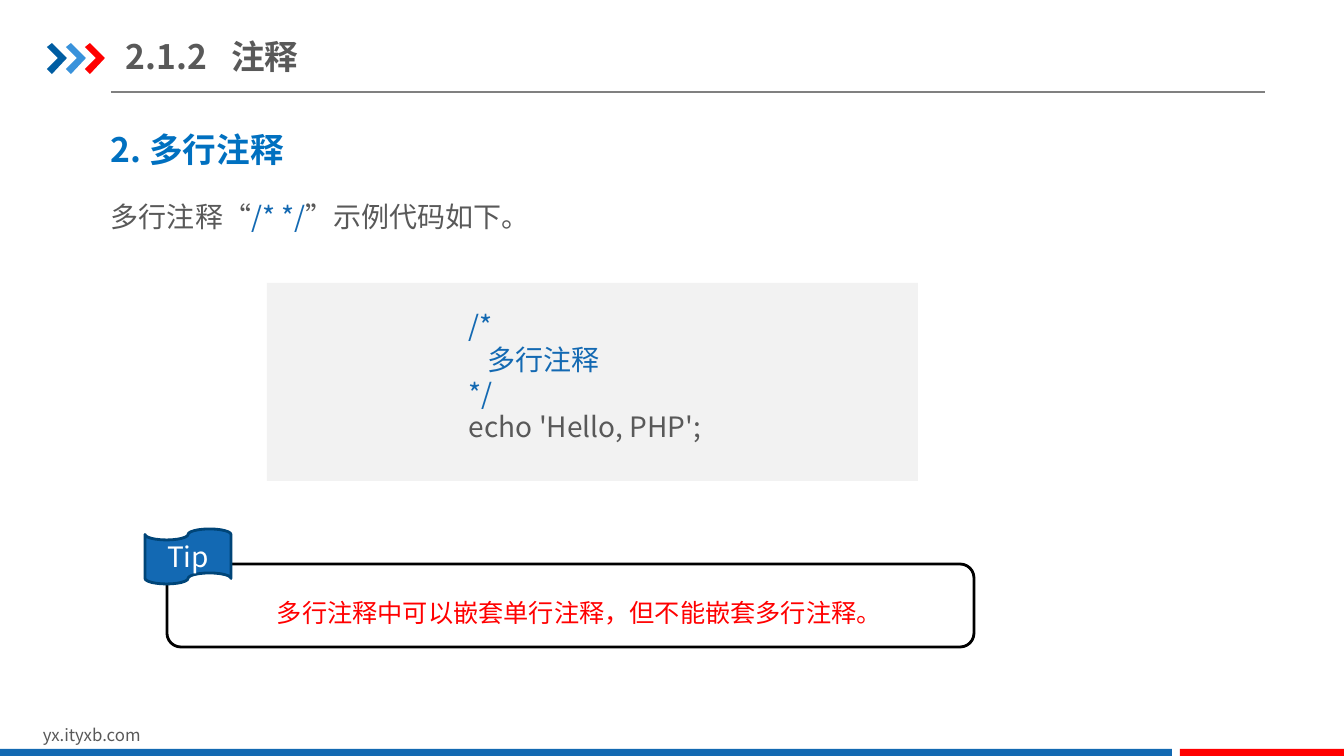
from lxml.etree import SubElement
from pptx import Presentation
from pptx.dml.color import RGBColor
from pptx.enum.shapes import MSO_CONNECTOR, MSO_SHAPE
from pptx.enum.text import MSO_ANCHOR, MSO_AUTO_SIZE, PP_ALIGN
from pptx.oxml.ns import qn
from pptx.util import Emu, Pt

PX = 914400 / 100.8
FONT = "Noto Sans CJK SC"
GREY, BLUE, RED, HEADING = "595959", "1369B2", "FF0000", "0070C0"

# Each paragraph is a list of (text, colour) runs.
TITLE = [("2.1.2\t注释", GREY)]
HEADING_TEXT = [[("2. 多行注释", HEADING)]]
INTRO = [[("多行注释“", GREY), ("/* */", BLUE), ("”示例代码如下。", GREY)]]
CODE = [
    [("/*", BLUE)],
    [("   多行注释", BLUE)],
    [("*/", BLUE)],
    [("echo 'Hello, PHP';", GREY)],
]
NOTE = [[("多行注释中可以嵌套单行注释，但不能嵌套多行注释。", RED)]]
SITE = [[("yx.ityxb.com", GREY)]]
TIP = [("Tip", "FFFFFF")]

CHEVRON_COLOURS = ["005DA2", "3992DB", RED]
CHEVRON = [(0, 47), (5, 43), (20, 58), (5, 74), (0, 69), (11, 58)]
CHEVRON_LEFT, CHEVRON_STEP = 47, 19
WIDTH, HEIGHT = 1344, 756
BAR_TOP, BAR_SPLIT, BAR_GAP = 749, 1172, 8


def px(n):
    return Emu(round(n * PX))


def rgb(colour):
    return RGBColor.from_string(colour)


def add_runs(p, runs, size, bold=False):
    for text, colour in runs:
        r = p.add_run()
        r.text = text
        r.font.size = Pt(size)
        r.font.bold = bold
        r.font.color.rgb = rgb(colour)
        r.font.name = FONT
        SubElement(r.font._element, qn("a:ea"), typeface=FONT)


def add_text(box, paragraphs, size, bold=False, wrap=True):
    tf = slide.shapes.add_textbox(*map(px, box)).text_frame
    tf.word_wrap = wrap
    tf.auto_size = MSO_AUTO_SIZE.SHAPE_TO_FIT_TEXT
    for i, runs in enumerate(paragraphs):
        p = tf.add_paragraph() if i else tf.paragraphs[0]
        add_runs(p, runs, size, bold)
    return tf


def style(sp, fill=None, line=None):
    sp.shadow.inherit = False
    if fill:
        sp.fill.solid()
        sp.fill.fore_color.rgb = rgb(fill)
    else:
        sp.fill.background()
    if line:
        sp.line.color.rgb = rgb(line)
        sp.line.width = Pt(2)
    else:
        sp.line.fill.background()


def add_shape(kind, box, fill=None, line=None):
    sp = slide.shapes.add_shape(kind, *map(px, box))
    style(sp, fill, line)
    return sp


prs = Presentation()
prs.slide_width, prs.slide_height = px(WIDTH), px(HEIGHT)
slide = prs.slides.add_slide(prs.slide_layouts[5])

# Header
rule = slide.shapes.add_connector(
    MSO_CONNECTOR.STRAIGHT, px(111), px(92), px(1265), px(92))
rule.line.color.rgb = rgb("808080")
rule.line.width = Pt(0.75)
SubElement(rule._element.spPr, qn("a:effectLst"))

for i, colour in enumerate(CHEVRON_COLOURS):
    left = CHEVRON_LEFT + i * CHEVRON_STEP
    points = [(left + x, y) for x, y in CHEVRON]
    builder = slide.shapes.build_freeform(*points[0], scale=PX)
    builder.add_line_segments(points[1:], close=True)
    style(builder.convert_to_shape(), colour)

title = slide.shapes.title
title.left, title.top, title.width, title.height = map(px, (126, 29, 429, 55))
tf = title.text_frame
tf.auto_size = MSO_AUTO_SIZE.NONE
tf.word_wrap = True
tf.vertical_anchor = MSO_ANCHOR.MIDDLE
tf.margin_left = tf.margin_right = 0
tf.margin_top = tf.margin_bottom = px(7)
p = tf.paragraphs[0]
p.alignment = PP_ALIGN.LEFT
tabs = SubElement(p._p.get_or_add_pPr(), qn("a:tabLst"))
SubElement(tabs, qn("a:tab"), pos=str(px(105)), algn="l")
add_runs(p, TITLE, 24, bold=True)

# Body
add_text((101, 124, 442, 50), HEADING_TEXT, 24, bold=True)
add_text((101, 195, 1072, 44), INTRO, 20)

add_shape(MSO_SHAPE.RECTANGLE, (267, 283, 651, 198), "F2F2F2")
code = add_text((430, 304, 288, 146), CODE, 20, wrap=False)
for p in code.paragraphs:
    p.alignment = PP_ALIGN.JUSTIFY
    p._p.get_or_add_pPr().set("indent", str(px(29)))

note = add_text((267, 577, 699, 50), NOTE, 18)
note.paragraphs[0].line_spacing = 1.5
add_shape(MSO_SHAPE.ROUNDED_RECTANGLE, (167, 564, 807, 83), line="000000")

tip = add_shape(MSO_SHAPE.FLOWCHART_PUNCHED_TAPE, (145, 529, 86, 55),
                "1369B3", "004578")
tip.text_frame.vertical_anchor = MSO_ANCHOR.MIDDLE
p = tip.text_frame.paragraphs[0]
p.alignment = PP_ALIGN.CENTER
add_runs(p, TIP, 20)

# Footer
add_text((33, 720, 321, 30), SITE, 12)
red_left = BAR_SPLIT + BAR_GAP
for left, right, colour in [(0, BAR_SPLIT, BLUE), (red_left, WIDTH, RED)]:
    add_shape(MSO_SHAPE.RECTANGLE,
              (left, BAR_TOP, right - left, HEIGHT - BAR_TOP), colour)

prs.save("out.pptx")
